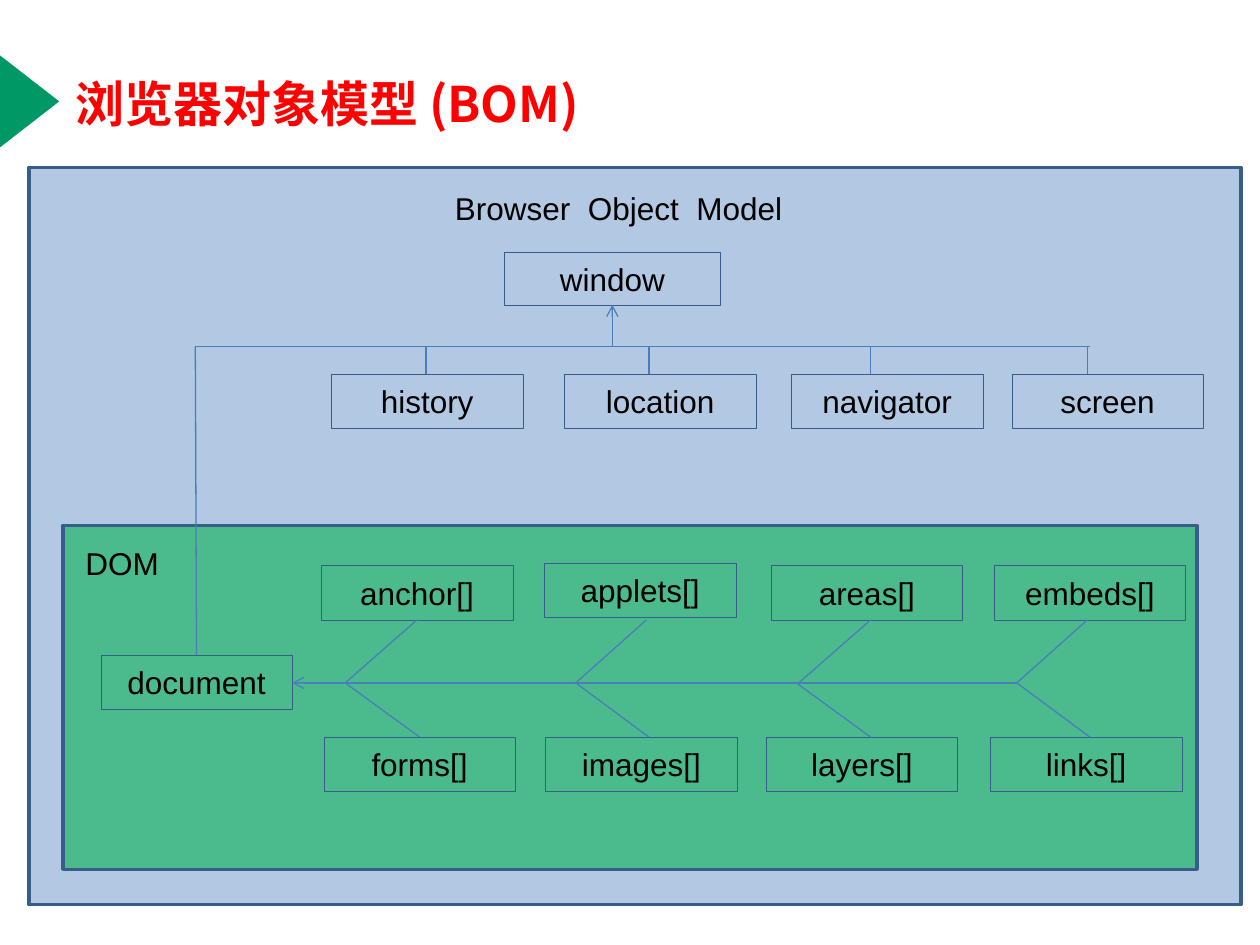
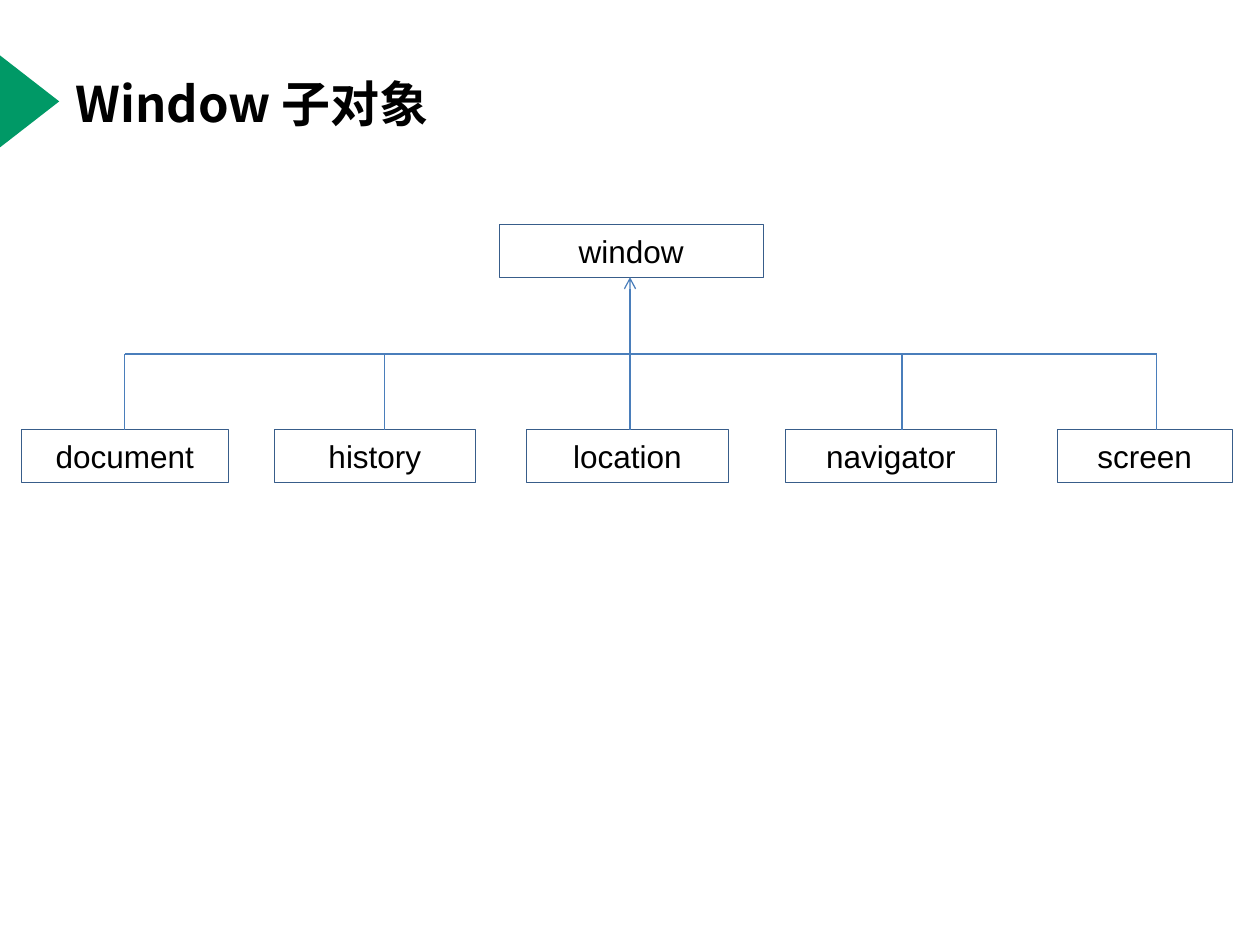
from lxml import etree
from pptx import Presentation
from pptx import util as u
from pptx.dml.color import RGBColor
from pptx.enum import shapes, text
from pptx.oxml.ns import qn

BLACK = "000000"


def color(code):
    return RGBColor.from_string(code)


class Deck:
    head = "Noto Sans CJK SC"
    body = "Arial"
    edge = "385D8A"
    wire = "4A7EBB"
    mark = "009966"

    def __init__(self):
        self.prs = Presentation()
        self.prs.slide_width = u.Inches(10)
        self.prs.slide_height = u.Inches(7.5)
        self.slide = None

    def page(self, title, tint):
        layout = self.prs.slide_layouts[5]
        self.slide = self.prs.slides.add_slide(layout)
        flag = self.shape(shapes.MSO_SHAPE.ISOSCELES_TRIANGLE,
                          -0.13, 0.57, 0.73, 0.47)
        flag.rotation = 90
        flag.fill.solid()
        flag.fill.fore_color.rgb = color(self.mark)
        flag.line.fill.background()
        hold = self.slide.shapes.title
        hold.left, hold.top = u.Inches(0.5), u.Inches(0.3)
        hold.width, hold.height = u.Inches(9), u.Inches(1.03)
        self.label_in(hold, title, 28, self.head, tint,
                      text.PP_ALIGN.LEFT, True)

    def shape(self, kind, x, y, w, h):
        item = self.slide.shapes.add_shape(
            kind, u.Inches(x), u.Inches(y), u.Inches(w), u.Inches(h))
        item.shadow.inherit = False
        return item

    def label_in(self, item, words, size=18, font=body, tint=BLACK,
                 align=text.PP_ALIGN.CENTER, bold=False):
        frame = item.text_frame
        frame.word_wrap = True
        frame.vertical_anchor = text.MSO_ANCHOR.MIDDLE
        para = frame.paragraphs[0]
        para.alignment = align
        run = para.add_run()
        run.text = words
        run.font.size = u.Pt(size)
        run.font.name = font
        run.font.bold = bold
        run.font.color.rgb = color(tint)
        east = etree.SubElement(run.font._element, qn("a:ea"))
        east.set("typeface", font)

    def panel(self, x, y, w, h, tint, alpha):
        item = self.shape(shapes.MSO_SHAPE.RECTANGLE, x, y, w, h)
        item.fill.solid()
        item.fill.fore_color.rgb = color(tint)
        code = item._element.spPr.find(qn("a:solidFill")).find(
            qn("a:srgbClr"))
        etree.SubElement(code, qn("a:alpha")).set("val", str(alpha * 1000))
        item.line.color.rgb = color(self.edge)
        item.line.width = u.Pt(2)

    def label(self, words, x, y, w, align):
        item = self.slide.shapes.add_textbox(
            u.Inches(x), u.Inches(y), u.Inches(w), u.Inches(0.4))
        self.label_in(item, words, align=align)
        item.text_frame.auto_size = text.MSO_AUTO_SIZE.SHAPE_TO_FIT_TEXT

    def box(self, words, x, y, w=1.52, h=0.43):
        item = self.shape(shapes.MSO_SHAPE.RECTANGLE, x, y, w, h)
        item.fill.background()
        item.line.color.rgb = color(self.edge)
        item.line.width = u.Pt(0.25)
        self.label_in(item, words)

    def line(self, x1, y1, x2, y2, arrow=False):
        item = self.slide.shapes.add_connector(
            shapes.MSO_CONNECTOR.STRAIGHT,
            u.Inches(x1), u.Inches(y1), u.Inches(x2), u.Inches(y2))
        item.line.color.rgb = color(self.wire)
        item.line.width = u.Pt(0.75)
        props = item._element.spPr
        if arrow:
            tail = etree.SubElement(props.find(qn("a:ln")), qn("a:tailEnd"))
            tail.set("type", "arrow")
        etree.SubElement(props, qn("a:effectLst"))


def model(deck):
    deck.page("浏览器对象模型 (BOM)", "FF0000")
    deck.panel(0.23, 1.33, 9.62, 5.85, "4F81BD", 43)
    deck.label("Browser  Object  Model", 2.67, 1.45, 4.48,
               text.PP_ALIGN.CENTER)
    deck.panel(0.5, 4.17, 9, 2.73, "00B050", 58)
    deck.label("DOM", 0.58, 4.27, 1.8, text.PP_ALIGN.LEFT)

    deck.box("window", 4, 2, 1.72, 0.42)
    deck.box("document", 0.8, 5.2)
    bus = 2.75
    deck.line(4.86, bus, 4.86, 2.42, True)
    deck.line(1.55, bus, 8.65, bus)
    deck.line(1.56, 5.2, 1.55, bus)
    kids = [("history", 2.63, 3.38), ("location", 4.48, 5.15),
            ("navigator", 6.28, 6.91), ("screen", 8.03, 8.63)]
    for name, left, stem in kids:
        deck.box(name, left, 2.97)
        deck.line(stem, 2.97, stem, bus)

    spine = 5.42
    deck.line(8.07, spine, 2.32, spine, True)
    uppers = [("anchor[]", 2.55, 4.49, 3.31, 2.74),
              ("applets[]", 4.32, 4.47, 5.13, 4.57),
              ("areas[]", 6.12, 4.49, 6.91, 6.34),
              ("embeds[]", 7.89, 4.49, 8.63, 8.07)]
    for name, left, top, stem, joint in uppers:
        deck.box(name, left, top)
        deck.line(stem, 4.92, joint, spine)
    lowers = [("forms[]", 2.57, 3.33, 2.74), ("images[]", 4.33, 5.15, 4.57),
              ("layers[]", 6.08, 6.91, 6.32), ("links[]", 7.86, 8.65, 8.07)]
    for name, left, stem, joint in lowers:
        deck.box(name, left, 5.85)
        deck.line(joint, spine, stem, 5.85)


def window(deck):
    deck.page("Window 子对象", BLACK)
    deck.box("window", 3.96, 1.78, 2.1, 0.42)
    bus, row = 2.81, 3.41
    kids = [("document", 0.17, 1.64, 0.99), ("history", 2.18, 1.59, 3.05),
            ("location", 4.18, 1.6, 5), ("navigator", 6.23, 1.68, 7.16),
            ("screen", 8.39, 1.39, 9.18)]
    for name, left, wide, stem in kids:
        deck.box(name, left, row, wide, 0.42)
        deck.line(stem, row, stem, bus)
    deck.line(kids[0][-1], bus, kids[-1][-1], bus)
    deck.line(5, bus, 5, 2.2, True)


def main():
    deck = Deck()
    model(deck)
    window(deck)
    deck.prs.save("out.pptx")


if __name__ == "__main__":
    main()
